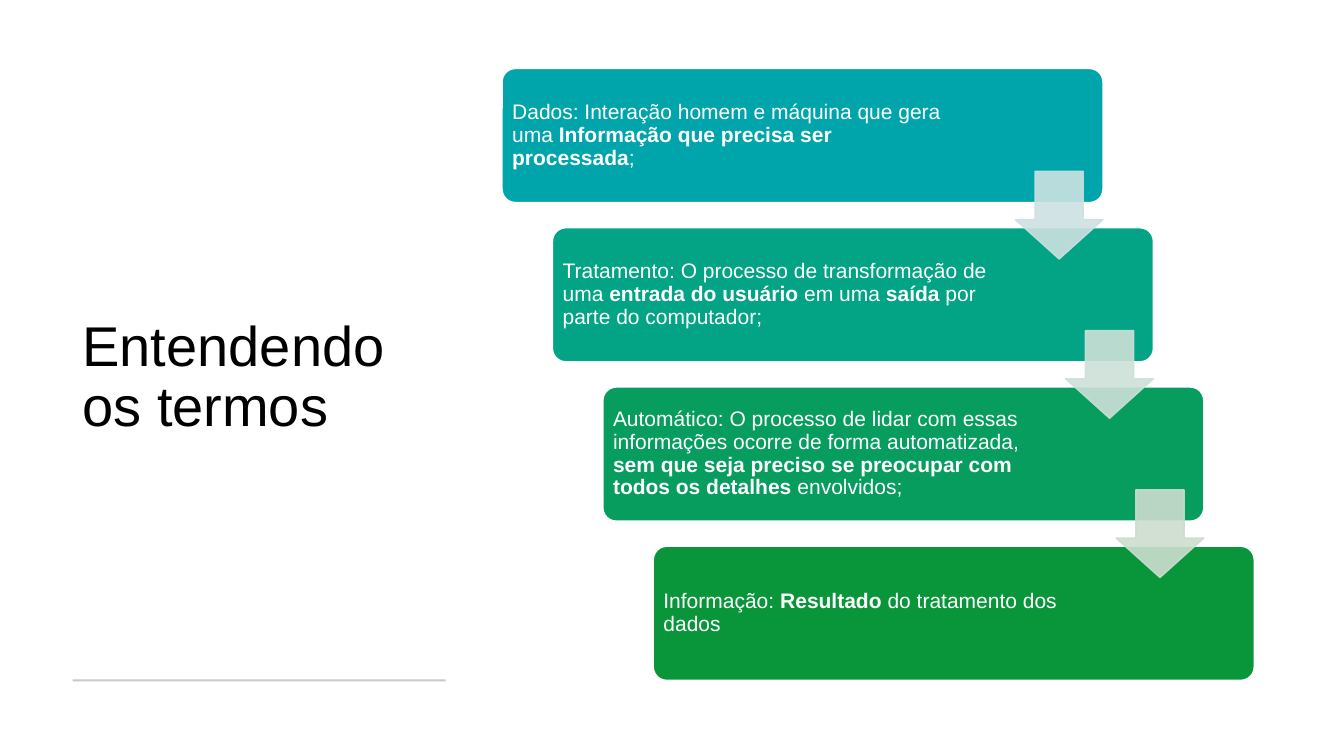
from dataclasses import dataclass

from lxml.etree import SubElement
from pptx import Presentation
from pptx.dml.color import RGBColor
from pptx.enum.shapes import MSO_SHAPE
from pptx.enum.text import MSO_ANCHOR, PP_ALIGN
from pptx.oxml.ns import qn
from pptx.util import Pt

PX = 9144  # EMU per px, 100 px to the inch


@dataclass(frozen=True)
class Theme:
    font: str = "Arial"
    title_size: int = 40
    step_size: int = 15
    title: str = "000000"
    step_text: str = "FFFFFF"
    outline: str = "FFFFFF"
    rule: str = "C9C9C9"
    steps: tuple = ("00A5AB", "03A485", "069D5E", "09963B")
    arrows: tuple = ("CCE1E2", "CCE0D8", "CCDDCF")
    arrow_opacity: int = 90


THEME = Theme()

# Step text and its width; ** switches bold on and off
STEPS = [
    ("Dados: Interação homem e máquina que gera uma "
     "**Informação que precisa ser processada**;", 441),
    ("Tratamento: O processo de transformação de uma "
     "**entrada do usuário** em uma **saída** por parte do computador;", 452),
    ("Automático: O processo de lidar com essas informações ocorre de forma "
     "automatizada, **sem que seja preciso se preocupar com todos os "
     "detalhes** envolvidos;", 452),
    ("Informação: **Resultado **do tratamento dos dados", 452),
]
STEP_LEFT, STEP_TOP, STEP_WIDTH, STEP_HEIGHT = 498, 68, 596, 133
STEP_RIGHT, STEP_DOWN = 50, 158
TEXT_OFFSET = 4
ARROW_LEFT, ARROW_TOP, ARROW_SIZE = 1007, 170, 87


def emu(*lengths):
    return [length * PX for length in lengths]


def set_opacity(color_format_parent, percent):
    for color in color_format_parent.iter(qn("a:srgbClr")):
        SubElement(color, qn("a:alpha")).set("val", str(percent * 1000))


def add_block(slide, kind, box, color, outline=None, adjustments=()):
    shape = slide.shapes.add_shape(kind, *emu(*box))
    shape.shadow.inherit = False
    shape.fill.solid()
    shape.fill.fore_color.rgb = RGBColor.from_string(color)
    if outline:
        shape.line.color.rgb = RGBColor.from_string(outline)
        shape.line.width = Pt(1)
    else:
        shape.line.fill.background()
    for index, value in enumerate(adjustments):
        shape.adjustments[index] = value
    return shape


def add_text(slide, box, text, size, color, margins):
    frame = slide.shapes.add_textbox(*emu(*box)).text_frame
    frame.word_wrap = True
    frame.vertical_anchor = MSO_ANCHOR.MIDDLE
    (frame.margin_left, frame.margin_top,
     frame.margin_right, frame.margin_bottom) = emu(*margins)
    paragraph = frame.paragraphs[0]
    paragraph.alignment = PP_ALIGN.LEFT
    paragraph.line_spacing = 0.9
    paragraph.font.name = THEME.font
    paragraph.font.size = Pt(size)
    paragraph.font.color.rgb = RGBColor.from_string(color)
    for index, part in enumerate(text.split("**")):
        run = paragraph.add_run()
        run.text = part
        if index % 2:
            run.font.bold = True


def add_step(slide, index, text, text_width):
    left = STEP_LEFT + index * STEP_RIGHT
    top = STEP_TOP + index * STEP_DOWN
    add_block(slide, MSO_SHAPE.ROUNDED_RECTANGLE,
              (left, top, STEP_WIDTH, STEP_HEIGHT),
              THEME.steps[index], THEME.outline, (0.1,))
    add_text(slide, (left + TEXT_OFFSET, top + TEXT_OFFSET, text_width,
                     STEP_HEIGHT - 2 * TEXT_OFFSET),
             text, THEME.step_size, THEME.step_text, (6, 6, 6, 6))


def add_arrow(slide, index, color):
    box = (ARROW_LEFT + index * STEP_RIGHT, ARROW_TOP + index * STEP_DOWN,
           ARROW_SIZE, ARROW_SIZE)
    arrow = add_block(slide, MSO_SHAPE.DOWN_ARROW, box, color, color,
                      (0.55, 0.45))
    set_opacity(arrow.element.spPr, THEME.arrow_opacity)


def main():
    presentation = Presentation()
    presentation.slide_width, presentation.slide_height = emu(1333, 750)
    slide = presentation.slides.add_slide(presentation.slide_layouts[6])

    # Title and the rule under it
    add_text(slide, (72, 105, 370, 541), "Entendendo os termos",
             THEME.title_size, THEME.title, (10, 5, 10, 5))
    add_block(slide, MSO_SHAPE.RECTANGLE, (72, 674, 370, 2), THEME.rule)

    # Staircase of steps, then the arrows on top
    for index, (text, text_width) in enumerate(STEPS):
        add_step(slide, index, text, text_width)
    for index, color in enumerate(THEME.arrows):
        add_arrow(slide, index, color)

    presentation.save("out.pptx")


if __name__ == "__main__":
    main()
